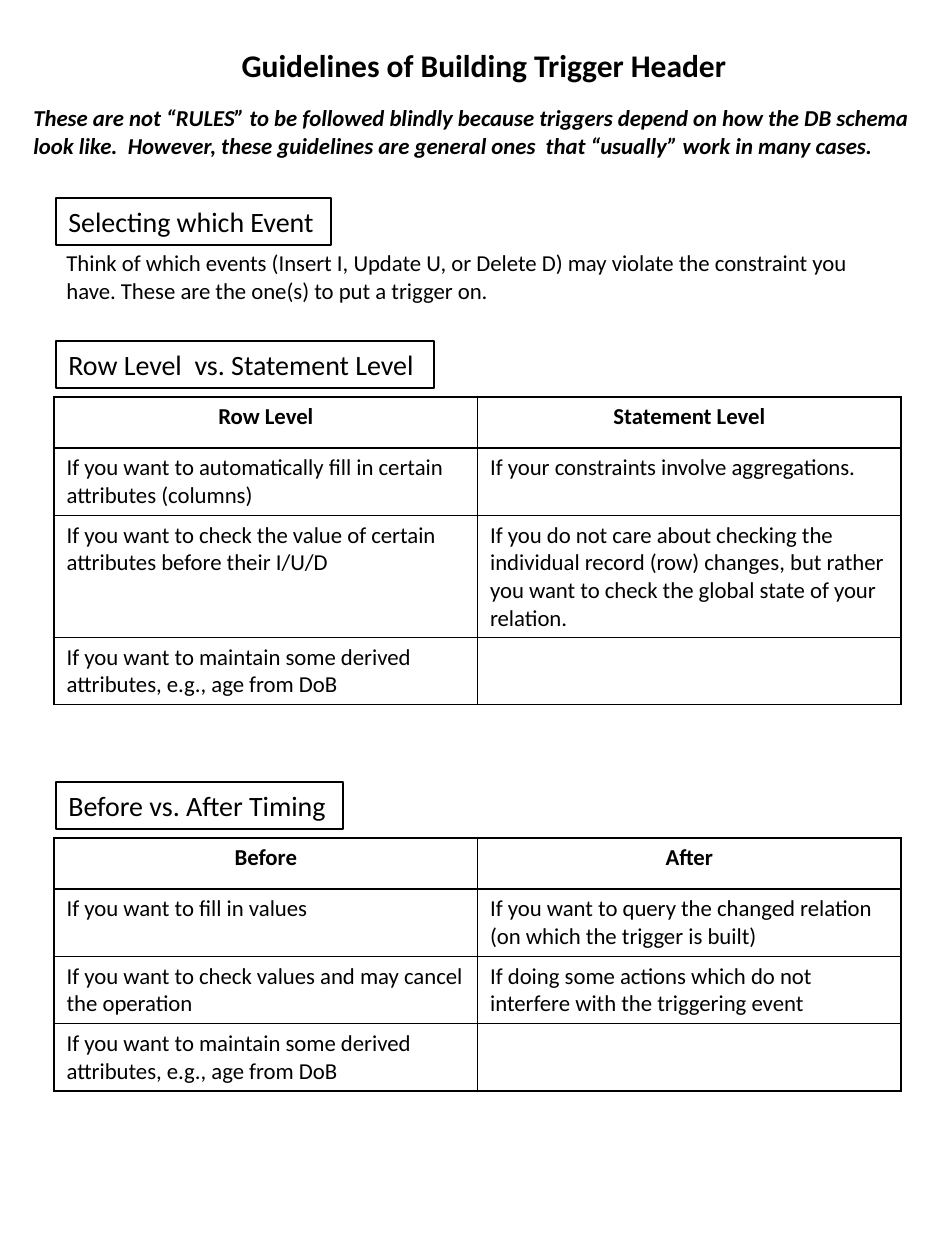
import pptx
import pptx.util
import pptx.dml.color
import pptx.enum.shapes
import pptx.enum.text
import pptx.oxml.ns
import lxml.etree

PAGE = (945, 1260)
PIXEL = pptx.util.Inches(1) // 126
THEME = {
    "font": "Calibri",
    "ink": pptx.dml.color.RGBColor(0, 0, 0),
    "title": 18, "heading": 16, "body": 13,
    "frame": 0.75, "grid": 1,
}

TITLE = ("Guidelines of Building Trigger Header", (229, 40, 517, 50))
INTRO = ("These are not “RULES” to be followed blindly because triggers depend on "
         "how the DB schema look like.  However, these guidelines are general ones  "
         "that “usually” work in many cases.", (21, 98, 929, 68))
EVENT_ADVICE = ("Think of which events (Insert I, Update U, or Delete D) may violate "
                "the constraint you have. These are the one(s) to put a trigger on.",
                (54, 243, 847, 68))

HEADING_LEFT, HEADING_HEIGHT = 56, 47
HEADINGS = [  # text, top, width
    ("Selecting which Event", 198, 275),
    ("Row Level  vs. Statement Level", 341, 378),
    ("Before vs. After Timing", 782, 287),
]

TABLE_LEFT, TABLE_WIDTH = 54, 847
DERIVED = "If you want to maintain some derived attributes, e.g., age from DoB"
COMPARISONS = [  # top, rows of (height, left cell, right cell)
    (397, [
        (51, "Row Level", "Statement Level"),
        (67, "If you want to automatically fill in certain attributes (columns)",
         "If your constraints involve aggregations."),
        (122, "If you want to check the value of certain attributes before their I/U/D",
         "If you do not care about checking the individual record (row) changes, "
         "but rather you want to check the global state of your relation."),
        (67, DERIVED, ""),
    ]),
    (838, [
        (51, "Before", "After"),
        (67, "If you want to fill in values",
         "If you want to query the changed relation (on which the trigger is built)"),
        (67, "If you want to check values and may cancel the operation",
         "If doing some actions which do not interfere with the triggering event"),
        (67, DERIVED, ""),
    ]),
]


def px(*lengths):
    """Turn picture pixels into EMU."""
    return [length * PIXEL for length in lengths]


def write(frame, text, size, bold=False, italic=False, centered=False, wrap=True):
    """Put one formatted run into a text frame."""
    frame.word_wrap = wrap
    frame.vertical_anchor = pptx.enum.text.MSO_ANCHOR.TOP
    paragraph = frame.paragraphs[0]
    align = pptx.enum.text.PP_ALIGN
    paragraph.alignment = align.CENTER if centered else align.LEFT
    run = paragraph.add_run()
    run.text = text
    run.font.name = THEME["font"]
    run.font.size = pptx.util.Pt(THEME[size])
    run.font.bold, run.font.italic = bold, italic
    run.font.color.rgb = THEME["ink"]


def add_title(slide, text, box):
    """Move and fill the title placeholder."""
    title = slide.shapes.title
    title.left, title.top, title.width, title.height = px(*box)
    write(title.text_frame, text, "title", bold=True, wrap=False)


def add_note(slide, text, box, **style):
    """Add a wrapped block of body text."""
    note = slide.shapes.add_textbox(*px(*box))
    write(note.text_frame, text, "body", **style)


def add_heading(slide, text, top, width):
    """Add a framed section heading."""
    heading = slide.shapes.add_shape(
        pptx.enum.shapes.MSO_SHAPE.RECTANGLE,
        *px(HEADING_LEFT, top, width, HEADING_HEIGHT))
    heading.shadow.inherit = False
    heading.fill.background()
    heading.line.color.rgb = THEME["ink"]
    heading.line.width = pptx.util.Pt(THEME["frame"])
    write(heading.text_frame, text, "heading", wrap=False)


def outline(cell):
    """Draw all four borders of a cell, with no fill."""
    cell.fill.background()
    properties = cell._tc.get_or_add_tcPr()
    qn = pptx.oxml.ns.qn
    for place, side in enumerate(("a:lnL", "a:lnR", "a:lnT", "a:lnB")):
        border = lxml.etree.Element(qn(side), w=str(pptx.util.Pt(THEME["grid"])))
        paint = lxml.etree.SubElement(border, qn("a:solidFill"))
        lxml.etree.SubElement(paint, qn("a:srgbClr"), val=str(THEME["ink"]))
        properties.insert(place, border)


def add_comparison(slide, top, rows):
    """Add a two-column table whose first row is a centred bold header."""
    height = sum(row[0] for row in rows)
    table = slide.shapes.add_table(
        len(rows), 2, *px(TABLE_LEFT, top, TABLE_WIDTH, height)).table
    table.horz_banding = False
    for row_index, (row_height, *texts) in enumerate(rows):
        table.rows[row_index].height = row_height * PIXEL
        header = row_index == 0
        for column, text in enumerate(texts):
            cell = table.cell(row_index, column)
            outline(cell)
            if text:
                write(cell.text_frame, text, "body", bold=header, centered=header)


deck = pptx.Presentation()
deck.slide_width, deck.slide_height = px(*PAGE)
guidelines = deck.slides.add_slide(deck.slide_layouts.get_by_name("Title Only"))
add_title(guidelines, *TITLE)
add_note(guidelines, *INTRO, bold=True, italic=True)
add_note(guidelines, *EVENT_ADVICE)
for section in HEADINGS:
    add_heading(guidelines, *section)
for comparison in COMPARISONS:
    add_comparison(guidelines, *comparison)
deck.save("out.pptx")
